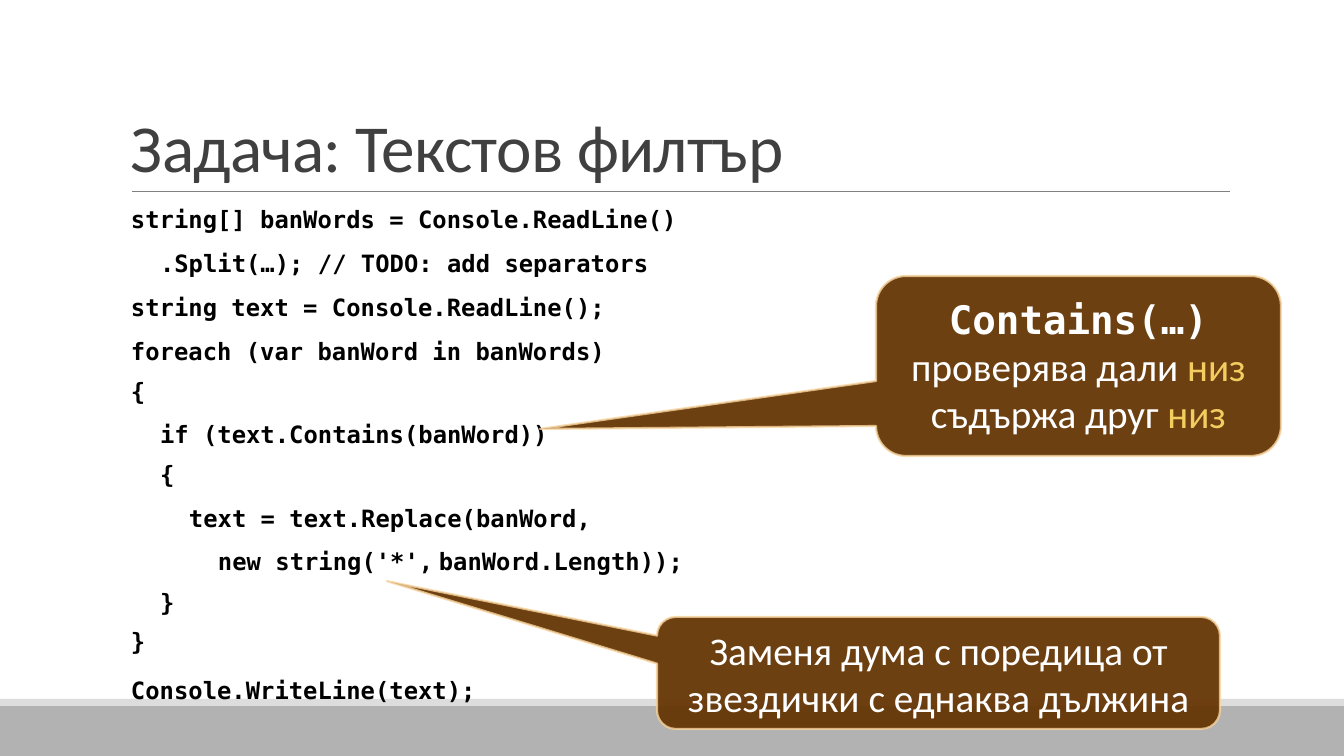
from lxml import etree
from pptx import Presentation
from pptx.dml.color import RGBColor
from pptx.enum.shapes import MSO_CONNECTOR as Connector, MSO_SHAPE as Shape
from pptx.enum.text import MSO_ANCHOR as Anchor, PP_ALIGN as Align
from pptx.oxml.ns import qn
from pptx.util import Pt

SCALE = 914400 / 100.8
SANS, MONO = "Calibri", "DejaVu Sans Mono"
WHITE, GOLD, BROWN, PEACH = "FFFFFF", "F3CD60", "663606", "F8D49E"
LEVEL_WIDTH, CODE_MARGIN = 29, 10

CODE = [
    (0, "string[] banWords = Console.ReadLine()"),
    (1, ".Split(…); // TODO: add separators"),
    (0, "string text = Console.ReadLine();"),
    (0, "foreach (var banWord in banWords)"),
    (0, "{"),
    (1, "if (text.Contains(banWord))"),
    (1, "{"),
    (2, "text = text.Replace(banWord,"),
    (3, "new string('*',| |banWord.Length));"),
    (1, "}"),
    (0, "}"),
    (0, "Console.WriteLine(text);"),
]


def px(*lengths):
    """Turn picture pixels into a list of EMU lengths."""
    return [round(length * SCALE) for length in lengths]


def color(value):
    """Turn a hex string into a colour."""
    return RGBColor.from_string(value)


def set_alpha(fill_parent, percent):
    """Make the solid fill below an XML element partly transparent."""
    tone = fill_parent.find(qn("a:solidFill"))[0]
    etree.SubElement(tone, qn("a:alpha")).set("val", str(percent * 1000))


def add_span(para, text, size, font=SANS, tone=WHITE, bold=False, spacing=None):
    """Append a formatted span to a paragraph."""
    span = para.add_run()
    span.text = text
    span.font.size = Pt(size)
    span.font.name = font
    span.font.bold = bold
    span.font.color.rgb = color(tone)
    if spacing is not None:
        span._r.get_or_add_rPr().set("spc", str(round(spacing * 100)))


def add_bar(page, top, height, tone):
    """Add a full-width footer bar."""
    bar = page.shapes.add_shape(Shape.RECTANGLE, *px(0, top, 1344, height))
    bar.shadow.inherit = False
    bar.fill.solid()
    bar.fill.fore_color.rgb = color(tone)
    bar.line.fill.background()


def add_rule(page, left, right, top):
    """Add the thin line under the title."""
    rule = page.shapes.add_connector(Connector.STRAIGHT, *px(left, top, right, top))
    rule.line.color.rgb = color("808080")
    rule.line.width = Pt(0.5)
    etree.SubElement(rule._element.spPr, qn("a:effectLst"))


def add_title(page, text):
    """Add the title, resting on the bottom of its box."""
    frame = page.shapes.add_textbox(*px(121, 31, 1109, 160)).text_frame
    frame.word_wrap = True
    frame.vertical_anchor = Anchor.BOTTOM
    para = frame.paragraphs[0]
    para.line_spacing = 0.85
    add_span(para, text, 48, tone="404040", spacing=-0.5)


def add_code(page, lines):
    """Add the code listing, one indented paragraph a line."""
    frame = page.shapes.add_textbox(*px(121, 204, 1199, 514)).text_frame
    frame.word_wrap = True
    frame.margin_left = frame.margin_right = 0
    for index, (level, text) in enumerate(lines):
        para = frame.add_paragraph() if index else frame.paragraphs[0]
        para.line_spacing = 0.7 if text in "{}" else 0.85
        para.space_before = Pt(12)
        para.space_after = Pt(6 if (level, text) == (0, "}") else 2)
        margin = px(CODE_MARGIN + level * LEVEL_WIDTH)[0]
        para._p.get_or_add_pPr().set("marL", str(margin))
        for part in text.split("|"):
            font = MONO if part.strip() else SANS
            add_span(para, part, 17, font=font, tone="000000", bold=True)


def add_callout(page, place, tip, spans):
    """Add a rounded callout whose tip is relative to its centre."""
    box = page.shapes.add_shape(Shape.ROUNDED_RECTANGULAR_CALLOUT, *px(*place))
    box.shadow.inherit = False
    box.adjustments[0], box.adjustments[1] = tip
    box.fill.solid()
    box.fill.fore_color.rgb = color(BROWN)
    set_alpha(box._element.spPr, 95)
    box.line.color.rgb = color(PEACH)
    box.line.width = Pt(1.5)
    set_alpha(box._element.spPr.find(qn("a:ln")), 80)
    frame = box.text_frame
    frame.word_wrap = True
    frame.vertical_anchor = Anchor.MIDDLE
    para = frame.paragraphs[0]
    para.alignment = Align.CENTER
    for text, style in spans:
        add_span(para, text, 28, **style)


def main():
    """Build the slide and save it."""
    deck = Presentation()
    deck.slide_width, deck.slide_height = px(1344, 756)
    page = deck.slides.add_slide(deck.slide_layouts[6])
    add_bar(page, 706, 50, "B2B2B2")
    add_bar(page, 699, 7, "DDDDDD")
    add_rule(page, 132, 1230, 191)
    add_title(page, "Задача: Текстов филтър")
    add_code(page, CODE)
    add_callout(page, (876, 276, 405, 180), (-1.33, 0.35), [
        ("Contains(…) ", {"font": MONO, "bold": True}),
        ("проверява дали ", {}),
        ("низ", {"tone": GOLD}),
        (" съдържа друг ", {}),
        ("низ", {"tone": GOLD}),
    ])
    add_callout(page, (657, 617, 563, 112), (-0.98, -0.82), [
        ("Заменя дума с поредица от звездички с еднаква дължина", {}),
    ])
    deck.save("out.pptx")


main()
